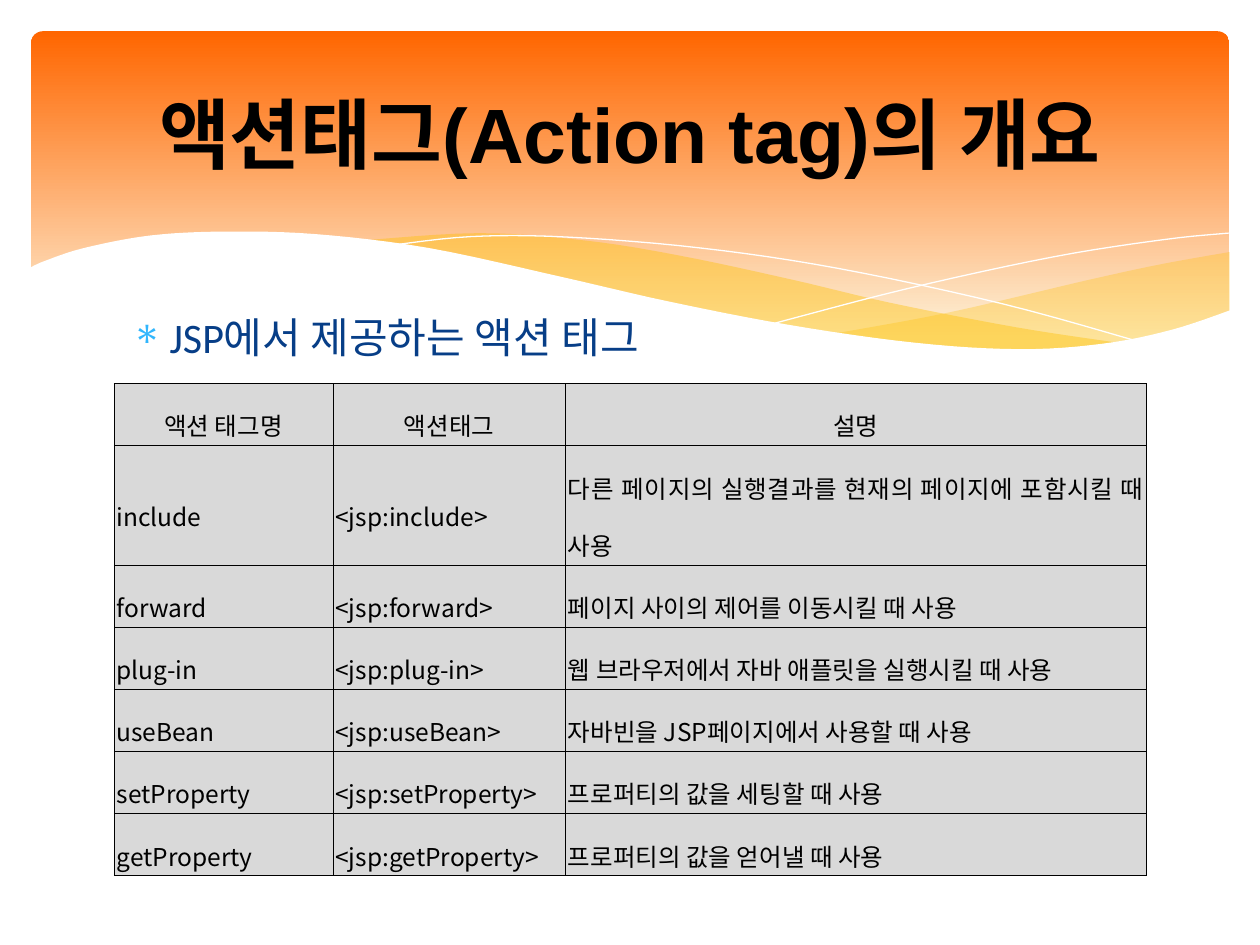
from lxml import etree
from pptx import Presentation
from pptx.dml.color import RGBColor
from pptx.enum.shapes import MSO_SHAPE
from pptx.enum.text import MSO_ANCHOR, PP_ALIGN
from pptx.oxml import parse_xml
from pptx.oxml.ns import nsdecls, qn
from pptx.util import Cm, Pt

CENTER, JUSTIFY = PP_ALIGN.CENTER, PP_ALIGN.JUSTIFY
MIDDLE, TOP = MSO_ANCHOR.MIDDLE, MSO_ANCHOR.TOP
ROUNDED = MSO_SHAPE.ROUNDED_RECTANGLE
TITLE_ONLY = 5
KOREAN = "Noto Sans CJK KR"
COLORS = {"orange": "FF6600", "cream": "FDF2D9", "gold": "FFC000", "white": "FFFFFF",
          "black": "000000", "navy": "073E87", "sky": "31B6FD", "grey": "D9D9D9"}

# Wave outlines in centimetres
RIGHT_BAND = [
    [(24.79, 5.08), (23.39, 5.33), (21.87, 5.66), (19.13, 6.3), (16.79, 6.73)],
    [(16.79, 6.73), (18.26, 6.91), (20.12, 7.04), (21.92, 7.01), (23.39, 6.73), (24.79, 6.27)]]
LEFT_BAND = [
    [(22.68, 6.93), (20.5, 6.6), (17.93, 6.1), (15.98, 5.64), (13.74, 5.16),
     (11.81, 4.85), (9.65, 4.7), (7.26, 4.85)],
    [(7.26, 4.85), (9.19, 5.16), (11.4, 5.64), (14.38, 6.3), (17.27, 6.81),
     (19.33, 7.04), (21.03, 7.06), (22.68, 6.93)]]
FALLING_LINE = [[(7.85, 4.95), (9.5, 4.77), (11.43, 4.78), (14.12, 5), (16.89, 5.41),
                 (20.19, 6.12), (23.04, 6.91)]]
RISING_LINE = [[(15.57, 6.53), (18.29, 5.82), (21.23, 5.18), (23.47, 4.83), (24.77, 4.7)]]
WHITE_WAVE = [
    [(24.82, 6.25), (23.62, 6.65), (22.23, 6.93), (20.55, 7.04), (18.44, 6.91),
     (15.9, 6.55), (13.44, 6.07), (11.35, 5.59), (8.64, 5), (6.35, 4.72), (4.5, 4.67),
     (3.02, 4.75), (1.7, 5), (0.91, 5.26), (0.58, 5.41)],
    [(0.58, 8.36), (24.82, 8.36)]]

HEADER = ("액션 태그명", "액션태그", "설명")
ACTIONS = {
    "include": "다른 페이지의 실행결과를 현재의 페이지에 포함시킬 때 사용",
    "forward": "페이지 사이의 제어를 이동시킬 때 사용",
    "plug-in": "웹 브라우저에서 자바 애플릿을 실행시킬 때 사용",
    "useBean": "자바빈을 JSP페이지에서 사용할 때 사용",
    "setProperty": "프로퍼티의 값을 세팅할 때 사용",
    "getProperty": "프로퍼티의 값을 얻어낼 때 사용",
}


def rgb(name):
    """Return the named colour."""
    return RGBColor.from_string(COLORS[name])


def smooth(points, steps=6):
    """Return points on a Catmull-Rom curve through the given points."""
    if len(points) < 3:
        return points
    padded = [points[0], *points, points[-1]]
    curve = [points[0]]
    for a, b, c, d in zip(padded, padded[1:], padded[2:], padded[3:]):
        for step in range(1, steps + 1):
            t = step / steps
            curve.append(tuple(
                (2 * q + (r - p) * t + (2 * p - 5 * q + 4 * r - s) * t ** 2
                 + (3 * q - p - 3 * r + s) * t ** 3) / 2
                for p, q, r, s in zip(a, b, c, d)))
    return curve


class Page:
    """One slide and the style of its elements."""

    def __init__(self, slide):
        """Keep the slide to draw on."""
        self.slide = slide
        self.shapes = slide.shapes

    def style(self, frame, font, size, color, align=None, bold=False):
        """Format every paragraph and span of a text frame."""
        for para in frame.paragraphs:
            para.alignment = align
            for span in para.runs:
                span.font.name, span.font.size, span.font.bold = font, Pt(size), bold
                span.font.color.rgb = rgb(color)
                east = etree.SubElement(span.font._element, qn("a:ea"))
                east.set("typeface", KOREAN)

    def banner(self, left, top, width, height):
        """Draw the rounded gradient banner."""
        shape = self.shapes.add_shape(ROUNDED, Cm(left), Cm(top), Cm(width), Cm(height))
        shape.adjustments[0] = 0.034
        shape.shadow.inherit = False
        shape.line.fill.background()
        shape.fill.gradient()
        shape.fill.gradient_angle = 270
        for stop, position, color in zip(shape.fill.gradient_stops, (0, 0.9), ("orange", "cream")):
            stop.position = position
            stop.color.rgb = rgb(color)

    def wave(self, curves, fill=None, opacity=100):
        """Draw a filled wave, or a white hairline when there is no fill."""
        points = [(Cm(x), Cm(y)) for curve in curves for x, y in smooth(curve)]
        builder = self.shapes.build_freeform(*points[0])
        builder.add_line_segments(points[1:], close=fill is not None)
        shape = builder.convert_to_shape()
        shape.shadow.inherit = False
        if fill is None:
            shape.fill.background()
            shape.line.color.rgb = rgb("white")
            shape.line.width = Pt(0)
            return
        shape.line.fill.background()
        shape.fill.solid()
        shape.fill.fore_color.rgb = rgb(fill)
        if opacity < 100:
            color = shape._element.spPr.find(".//" + qn("a:srgbClr"))
            etree.SubElement(color, qn("a:alpha")).set("val", str(opacity * 1000))

    def title(self, text, left, top, width, height):
        """Fill the title placeholder and bring it to the front."""
        box = self.shapes.title
        box.left, box.top, box.width, box.height = Cm(left), Cm(top), Cm(width), Cm(height)
        box.text_frame.text = text
        box.text_frame.vertical_anchor = MIDDLE
        self.style(box.text_frame, "Arial", 44, "black", CENTER, True)
        self.shapes._spTree.append(box._element)

    def bullet(self, text, left, top, width, height):
        """Add a bulleted line of text."""
        box = self.shapes.add_textbox(Cm(left), Cm(top), Cm(width), Cm(height))
        frame = box.text_frame
        frame.word_wrap = True
        frame.vertical_anchor = TOP
        frame.text = text
        self.style(frame, "Calibri", 24, "navy")
        para = frame.paragraphs[0]
        para.space_before = Pt(4.8)
        properties = para._p.get_or_add_pPr()
        properties.set("marL", str(Cm(0.76)))
        properties.set("indent", str(Cm(-0.76)))
        color = etree.SubElement(properties, qn("a:buClr"))
        etree.SubElement(color, qn("a:srgbClr")).set("val", COLORS["sky"])
        etree.SubElement(properties, qn("a:buChar")).set("char", "∗")

    def table(self, rows, left, top, widths, heights):
        """Add a bordered table whose first row is centred."""
        grid = self.shapes.add_table(len(rows), len(widths), Cm(left), Cm(top),
                                     Cm(sum(widths)), Cm(sum(heights))).table
        for column, width in zip(grid.columns, widths):
            column.width = Cm(width)
        for index, (row, height, texts) in enumerate(zip(grid.rows, heights, rows)):
            row.height = Cm(height)
            for cell, text in zip(row.cells, texts):
                self.cell(cell, text, JUSTIFY if index else CENTER)

    def cell(self, cell, text, align):
        """Fill and border one table cell."""
        cell.text_frame.text = text
        cell.vertical_anchor = MIDDLE
        cell.margin_left = cell.margin_right = cell.margin_top = cell.margin_bottom = Cm(0.05)
        self.style(cell.text_frame, KOREAN, 14, "black", align)
        cell.text_frame.paragraphs[0].line_spacing = 1.6
        properties = cell._tc.get_or_add_tcPr()
        for side in "LRTB":
            properties.append(parse_xml(
                f'<a:ln{side} {nsdecls("a")} w="3556"><a:solidFill>'
                f'<a:srgbClr val="{COLORS["black"]}"/></a:solidFill></a:ln{side}>'))
        cell.fill.solid()
        cell.fill.fore_color.rgb = rgb("grey")


def main():
    """Build and save the deck."""
    deck = Presentation()
    deck.slide_width, deck.slide_height = Cm(25.4), Cm(19.05)
    page = Page(deck.slides.add_slide(deck.slide_layouts[TITLE_ONLY]))
    page.banner(0.63, 0.63, 24.15, 6.86)
    page.wave(RIGHT_BAND, "gold", 29)
    page.wave(LEFT_BAND, "gold", 40)
    page.wave(FALLING_LINE)
    page.wave(RISING_LINE)
    page.wave(WHITE_WAVE, "white")
    page.bullet("JSP에서 제공하는 액션 태그", 2.41, 6.15, 20.57, 9.58)
    page.title("액션태그(Action tag)의 개요", 1.27, 0.95, 22.86, 3.47)
    rows = [HEADER] + [(name, f"<jsp:{name}>", use) for name, use in ACTIONS.items()]
    page.table(rows, 2.3, 7.73, (4.41, 4.69, 11.7), [1.25, 2.34] + [1.25] * 5)
    deck.save("out.pptx")


main()
